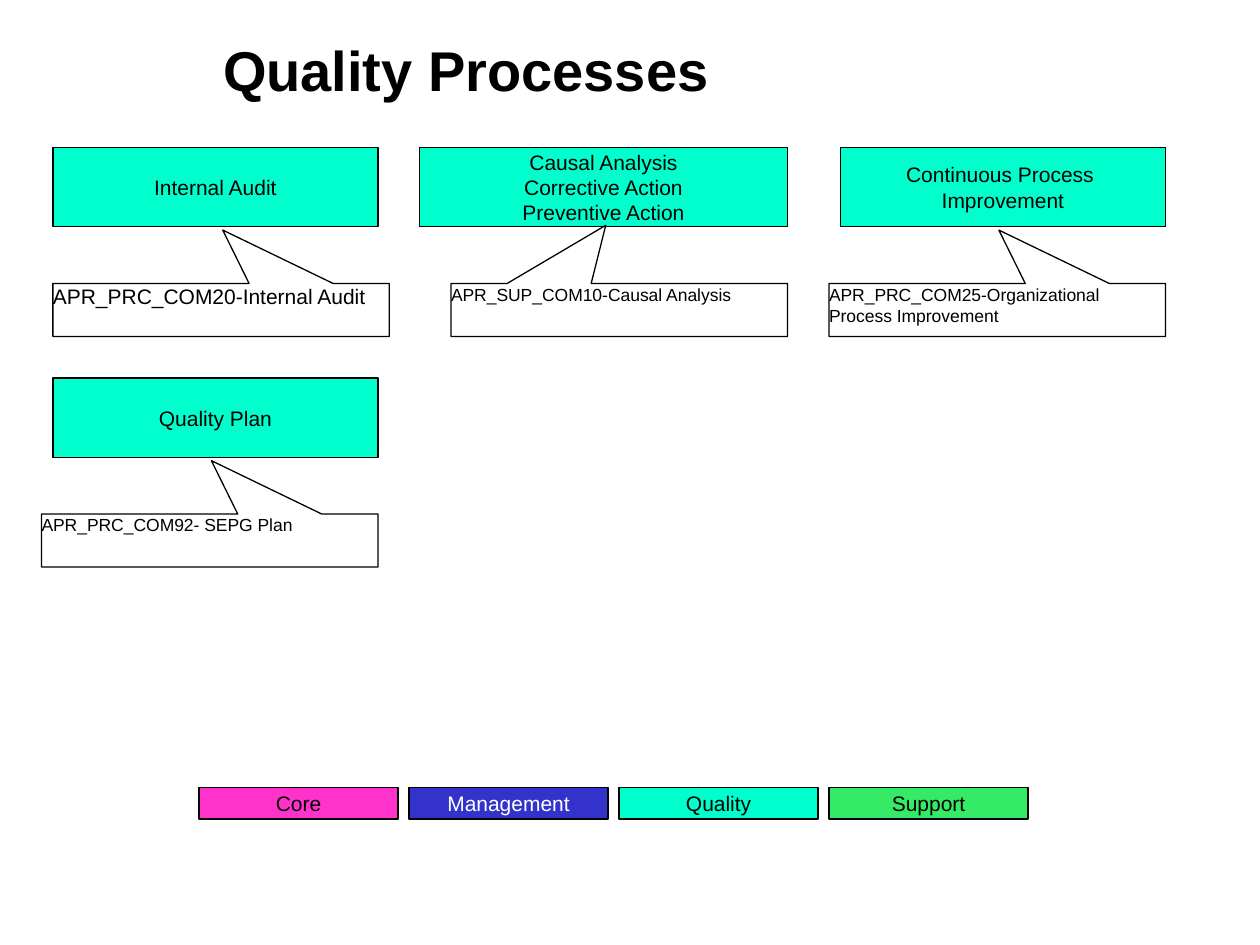
from pptx import Presentation
from pptx.dml.color import RGBColor
from pptx.enum.shapes import MSO_SHAPE
from pptx.enum.text import MSO_ANCHOR, MSO_AUTO_SIZE, PP_ALIGN
from pptx.util import Inches, Pt


def rgb(value):
    return RGBColor.from_string(value)


class SlideBuilder:
    font = "Arial"
    black = "000000"
    quality = "00FFCC"

    def __init__(self, prs):
        self.s = prs.slides.add_slide(prs.slide_layouts[5])

    def add_text(self, tf, lines, size, color=black, align=PP_ALIGN.LEFT, bold=False):
        for i, line in enumerate(lines):
            p = tf.add_paragraph() if i else tf.paragraphs[0]
            p.alignment = align
            r = p.add_run()
            r.text = line
            r.font.name = self.font
            r.font.size = Pt(size)
            r.font.bold = bold
            r.font.color.rgb = rgb(color)

    def title(self, text, left, top, width, height):
        sp = self.s.shapes.title
        sp.left, sp.top = Inches(left), Inches(top)
        sp.width, sp.height = Inches(width), Inches(height)
        tf = sp.text_frame
        tf.auto_size = MSO_AUTO_SIZE.NONE
        tf.vertical_anchor = MSO_ANCHOR.MIDDLE
        self.add_text(tf, [text], 32, bold=True)

    def outline(self, kind, left, top, width, height):
        sp = self.s.shapes.add_shape(
            kind, Inches(left), Inches(top), Inches(width), Inches(height))
        sp.shadow.inherit = False
        sp.line.color.rgb = rgb(self.black)
        sp.line.width = Pt(0.75)
        return sp

    def box(self, lines, left, top, width, height, fill=quality, color=black):
        sp = self.outline(MSO_SHAPE.RECTANGLE, left, top, width, height)
        sp.fill.solid()
        sp.fill.fore_color.rgb = rgb(fill)
        tf = sp.text_frame
        tf.word_wrap = False
        tf.vertical_anchor = MSO_ANCHOR.MIDDLE
        self.add_text(tf, lines, 12, color, PP_ALIGN.CENTER)

    def callout(self, text, left, top, size, tip):
        sp = self.outline(MSO_SHAPE.RECTANGULAR_CALLOUT, left, top, 2.67, 0.42)
        sp.fill.background()
        sp.adjustments[0], sp.adjustments[1] = tip
        tf = sp.text_frame
        tf.word_wrap = True
        tf.vertical_anchor = MSO_ANCHOR.TOP
        tf.margin_left = tf.margin_top = tf.margin_right = tf.margin_bottom = 0
        self.add_text(tf, [text], size)


def main():
    prs = Presentation()
    prs.slide_width, prs.slide_height = Inches(10), Inches(7.5)
    slide = SlideBuilder(prs)
    slide.title("Quality Processes", 1.67, 0.17, 8.17, 0.75)

    tip = (0.005, -1.51)
    processes = [
        (["Internal Audit"], 0.42, 1.17, 2.58,
         "APR_PRC_COM20-Internal Audit", 0.42, 12, tip),
        (["Continuous Process ", "Improvement"], 6.67, 1.17, 2.58,
         "APR_PRC_COM25-Organizational Process Improvement", 6.58, 10, tip),
        (["Causal Analysis", "Corrective Action", "Preventive Action"],
         3.33, 1.17, 2.92,
         "APR_SUP_COM10-Causal Analysis", 3.58, 10, (-0.04, -1.6)),
        (["Quality Plan"], 0.42, 3, 2.58,
         "APR_PRC_COM92- SEPG Plan", 0.33, 10, tip),
    ]
    for lines, left, top, width, document, note_left, size, note_tip in processes:
        slide.box(lines, left, top, width, 0.63)
        slide.callout(document, note_left, top + 1.08, size, note_tip)

    legend = [
        ("Core", "FF33CC", slide.black),
        ("Management", "3333CC", "FFFFFF"),
        ("Quality", slide.quality, slide.black),
        ("Support", "35EB65", slide.black),
    ]
    for i, (label, fill, color) in enumerate(legend):
        slide.box([label], 1.58 + i * 5 / 3, 6.25, 1.58, 0.25, fill, color)

    prs.save("out.pptx")


if __name__ == "__main__":
    main()
